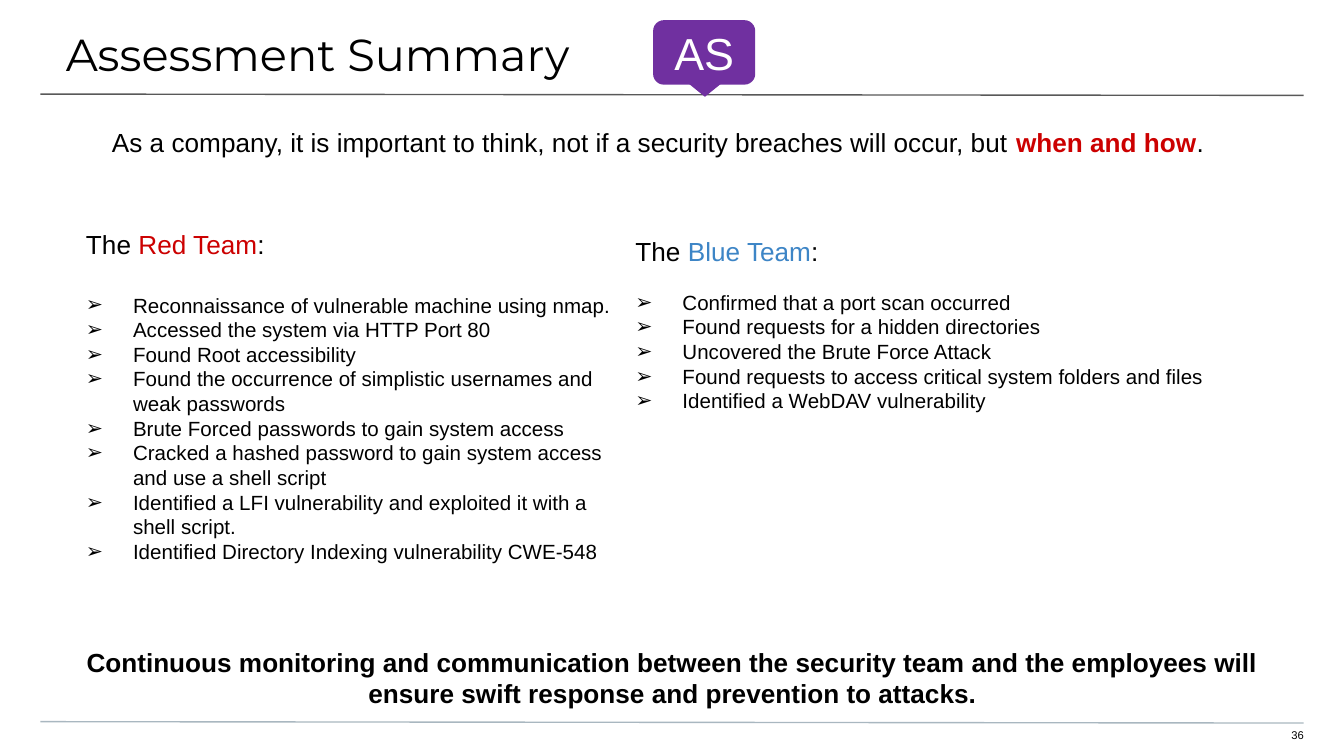
from lxml.etree import SubElement
from pptx import Presentation
from pptx.dml.color import RGBColor
from pptx.enum.shapes import MSO_CONNECTOR, MSO_SHAPE
from pptx.enum.text import MSO_ANCHOR, PP_ALIGN
from pptx.oxml.ns import qn
from pptx.util import Inches, Pt

BLACK, WHITE, PURPLE = "000000", "FFFFFF", "7030A0"
RED, BLUE = "CC0000", "3D85C6"

INTRO = "As a company, it is important to think, not if a security breaches will occur, but "
CONCLUSION = ("Continuous monitoring and communication between the security team and "
              "the employees will ensure swift response and prevention to attacks.")
RED_FINDINGS = [
    "Reconnaissance of vulnerable machine using nmap.",
    "Accessed the system via HTTP Port 80",
    "Found Root accessibility",
    "Found the occurrence of simplistic usernames and weak passwords",
    "Brute Forced passwords to gain system access",
    "Cracked a hashed password to gain system access and use a shell script",
    "Identified a LFI vulnerability and exploited it with a shell script.",
    "Identified Directory Indexing vulnerability CWE-548",
]
BLUE_FINDINGS = [
    "Confirmed that a port scan occurred",
    "Found requests for a hidden directories",
    "Uncovered the Brute Force Attack",
    "Found requests to access critical system folders and files",
    "Identified a WebDAV vulnerability",
]


def rgb(value):
    return RGBColor.from_string(value)


def add_run(paragraph, text, size=14, font="Arial", color=BLACK, bold=False):
    run = paragraph.add_run()
    run.text = text
    run.font.size, run.font.name, run.font.bold = Pt(size), font, bold
    run.font.color.rgb = rgb(color)


def indent(paragraph, left, first=0, bullet=None):
    """Set the left and first-line indents in inches, and an optional bullet."""
    props = paragraph._p.get_or_add_pPr()
    props.set("marL", str(Inches(left)))
    props.set("indent", str(Inches(first)))
    if bullet:
        color = SubElement(props, qn("a:buClr"))
        SubElement(color, qn("a:srgbClr"), val=BLACK)
        SubElement(props, qn("a:buFont"), typeface="Arial")
        SubElement(props, qn("a:buChar"), char=bullet)


class SlideBuilder:
    bullet, finding_size, rule_width = "➢", 11, 0.75

    def __init__(self, slide):
        self.shapes = slide.shapes

    def rule(self, start, end, color):
        line = self.shapes.add_connector(MSO_CONNECTOR.STRAIGHT, *map(Inches, start + end))
        line.line.color.rgb = rgb(color)
        line.line.width = Pt(self.rule_width)
        SubElement(line._element.spPr, qn("a:effectLst"))

    def frame(self, box, insets=(0.1, 0.05, 0.1, 0.05)):
        frame = self.shapes.add_textbox(*map(Inches, box)).text_frame
        frame.word_wrap = True
        (frame.margin_left, frame.margin_top,
         frame.margin_right, frame.margin_bottom) = map(Inches, insets)
        return frame

    def text(self, box, *parts, align=PP_ALIGN.LEFT, **layout):
        """Place one paragraph made of (text, format) parts."""
        paragraph = self.frame(box, **layout).paragraphs[0]
        paragraph.alignment = align
        for words, style in parts:
            add_run(paragraph, words, **style)

    def team(self, box, name, color, findings, gap, **layout):
        frame = self.frame(box, **layout)
        heading = frame.paragraphs[0]
        indent(heading, 0.15)
        heading.space_after = Pt(gap)
        for words, tint in (("The ", BLACK), (name, color), (":", BLACK)):
            add_run(heading, words, color=tint)
        for finding in findings:
            item = frame.add_paragraph()
            indent(item, 0.5, -0.35, self.bullet)
            add_run(item, finding, size=self.finding_size)

    def block(self, kind, box, color):
        block = self.shapes.add_shape(kind, *map(Inches, box))
        block.shadow.inherit = False
        block.fill.solid()
        block.fill.fore_color.rgb = rgb(color)
        block.line.fill.background()
        return block

    def badge(self, initials):
        label = self.block(MSO_SHAPE.ROUNDED_RECTANGLE, (4.86, 0.15, 0.76, 0.48), PURPLE)
        frame = label.text_frame
        frame.vertical_anchor = MSO_ANCHOR.MIDDLE
        frame.paragraphs[0].alignment = PP_ALIGN.CENTER
        add_run(frame.paragraphs[0], initials, size=24, color=WHITE)
        pointer = self.block(MSO_SHAPE.FLOWCHART_EXTRACT, (5.06, 0.57, 0.37, 0.15), PURPLE)
        pointer.rotation = 180


def main():
    deck = Presentation()
    deck.slide_width = Inches(10)
    deck.slide_height = deck.slide_width * 9 // 16
    page = SlideBuilder(deck.slides.add_slide(deck.slide_layouts[6]))

    page.rule((0.3, 0.7), (9.7, 0.71), "595959")
    page.rule((0.3, 5.37), (9.7, 5.38), "A9B7C0")
    page.text((-0.01, 0, 10.03, 0.58),
              ("Assessment Summary", {"size": 24, "font": "Montserrat"}),
              insets=(0.5, 0.2, 0.3, 0.1))
    page.text((9.41, 5.42, 0.29, 0.12), ("36", {"size": 6}),
              align=PP_ALIGN.RIGHT, insets=(0, 0, 0, 0.1))
    page.team((-0.01, 1.7, 5.06, 2.91), "Red Team", RED, RED_FINDINGS, gap=17.5,
              insets=(0.5, 0, 0.5, 1))
    page.badge("AS")
    page.team((4.48, 1.7, 5.4, 1.44), "Blue Team", BLUE, BLUE_FINDINGS, gap=12.5)
    page.text((0.37, 4.76, 9.27, 0.57), (CONCLUSION, {"bold": True}),
              align=PP_ALIGN.CENTER)
    page.text((0.37, 0.89, 9.05, 0.34), (INTRO, {}),
              ("when and how", {"color": RED, "bold": True}), (".", {}),
              align=PP_ALIGN.CENTER)
    deck.save("out.pptx")


if __name__ == "__main__":
    main()
